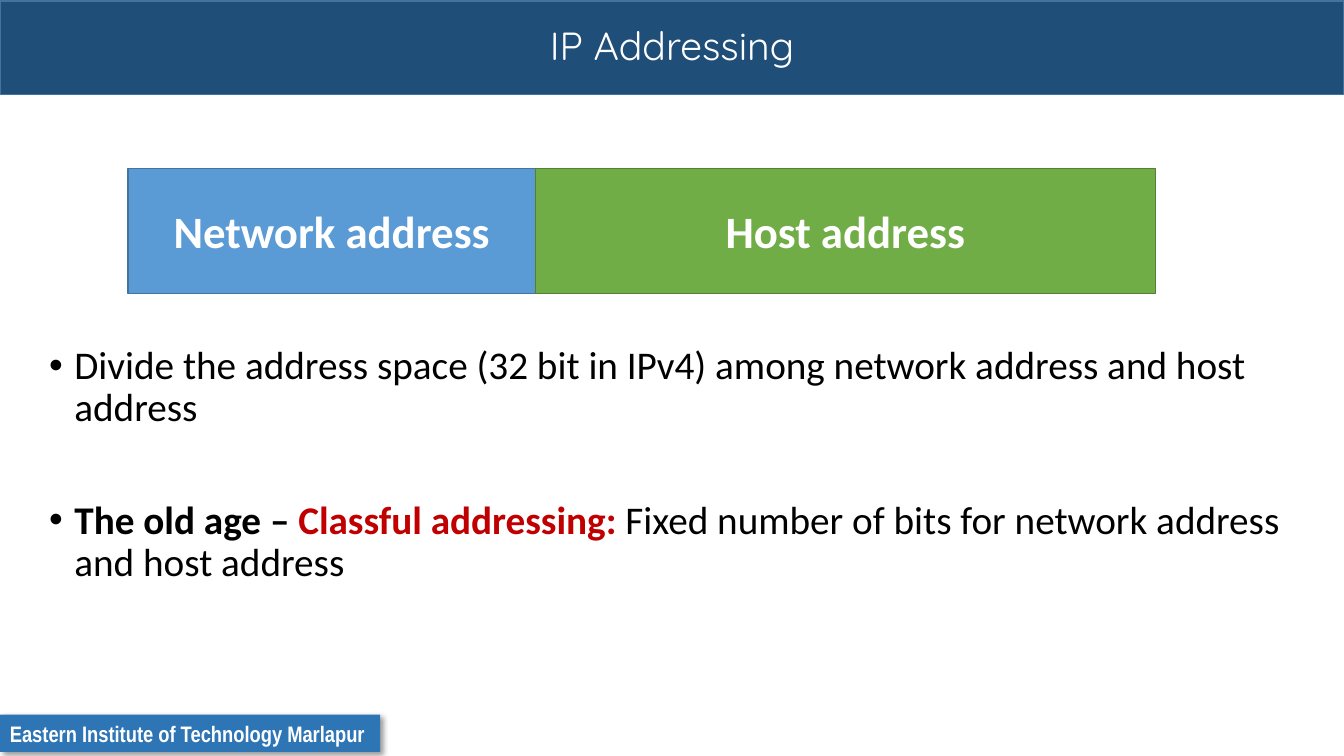
import pptx
import pptx.util
import pptx.dml.color
import pptx.enum.shapes
import pptx.enum.text
import pptx.oxml
import pptx.oxml.ns
from lxml import etree

Inches = pptx.util.Inches
Pt = pptx.util.Pt
ALIGN = pptx.enum.text.PP_ALIGN
ANCHOR = pptx.enum.text.MSO_ANCHOR

COLORS = {
    "title_bar": "1F4E79",
    "footer": "2E75B6",
    "network": "5B9BD5",
    "network_line": "43739E",
    "host": "70AD47",
    "host_line": "538035",
    "accent": "C00000",
    "black": "000000",
    "white": "FFFFFF",
}


def rgb(name):
    return pptx.dml.color.RGBColor.from_string(COLORS[name])


def format_run(r, size, font, color, bold=False):
    r.font.size = Pt(size)
    r.font.name = font
    r.font.bold = bold
    r.font.color.rgb = rgb(color)


def add_box(s, left, top, width, height, fill, line=None):
    sp = s.shapes.add_shape(
        pptx.enum.shapes.MSO_SHAPE.RECTANGLE,
        Inches(left), Inches(top), Inches(width), Inches(height))
    sp.shadow.inherit = False
    sp.fill.solid()
    sp.fill.fore_color.rgb = rgb(fill)
    if line:
        sp.line.color.rgb = rgb(line)
        sp.line.width = Pt(1)
    else:
        sp.line.fill.background()
    return sp


def set_label(sp, text, size, font, bold=True, align=ALIGN.CENTER):
    tf = sp.text_frame
    tf.word_wrap = True
    tf.vertical_anchor = ANCHOR.MIDDLE
    tf.text = text
    p = tf.paragraphs[0]
    p.alignment = align
    format_run(p.runs[0], size, font, "white", bold)


def add_shadow(sp):
    effects = sp._element.spPr.find(pptx.oxml.ns.qn("a:effectLst"))
    effects.append(pptx.oxml.parse_xml(
        '<a:outerShdw xmlns:a="http://schemas.openxmlformats.org/drawingml/2006/main" '
        f'blurRad="{Pt(4)}" dist="{Pt(3)}" dir="2700000" algn="tl" rotWithShape="0">'
        f'<a:srgbClr val="{COLORS["black"]}"><a:alpha val="40000"/></a:srgbClr>'
        '</a:outerShdw>'))


def set_bullet(p):
    pPr = p._p.get_or_add_pPr()
    pPr.set("marL", str(Inches(0.25)))
    pPr.set("indent", str(-Inches(0.25)))
    for tag, key, value in (("a:buFont", "typeface", "Arial"), ("a:buChar", "char", "•")):
        etree.SubElement(pPr, pptx.oxml.ns.qn(tag)).set(key, value)


def add_bullets(s, left, top, width, height, bullets):
    tf = s.shapes.add_textbox(
        Inches(left), Inches(top), Inches(width), Inches(height)).text_frame
    tf.word_wrap = True
    for i, (space_before, runs) in enumerate(bullets):
        p = tf.add_paragraph() if i else tf.paragraphs[0]
        p.line_spacing = 0.9
        p.space_before = Pt(space_before)
        set_bullet(p)
        for text, color, bold in runs:
            r = p.add_run()
            r.text = text
            format_run(r, 28, "Calibri", color, bold)


def main():
    prs = pptx.Presentation()
    prs.slide_width = Inches(13.33)
    prs.slide_height = Inches(7.5)
    s = prs.slides.add_slide(prs.slide_layouts[6])

    title = add_box(s, 0, 0.01, 13.33, 0.93, "title_bar", "network_line")
    set_label(title, "IP Addressing", 28, "Quicksand", bold=False)
    title.text_frame.paragraphs[0].line_spacing = 0.9

    footer = add_box(s, 0, 7.09, 3.77, 0.37, "footer")
    set_label(footer, "Eastern Institute of Technology Marlapur", 16, "Arial Narrow",
              align=ALIGN.LEFT)
    footer.text_frame.word_wrap = False
    add_shadow(footer)

    add_bullets(s, 0.39, 3.38, 12.63, 3.71, [
        (10, [("Divide the address space (32 bit in IPv4) among network address "
               "and host address", "black", False)]),
        (50, [("The old age – ", "black", True),
              ("Classful addressing: ", "accent", True),
              ("Fixed number of bits for network address and host address",
               "black", False)]),
    ])

    left = 1.27
    for text, width, fill in (("Network address", 4.04, "network"),
                              ("Host address", 6.15, "host")):
        sp = add_box(s, left, 1.67, width, 1.24, fill, fill + "_line")
        set_label(sp, text, 32, "Calibri")
        left += width

    prs.save("out.pptx")


if __name__ == "__main__":
    main()
